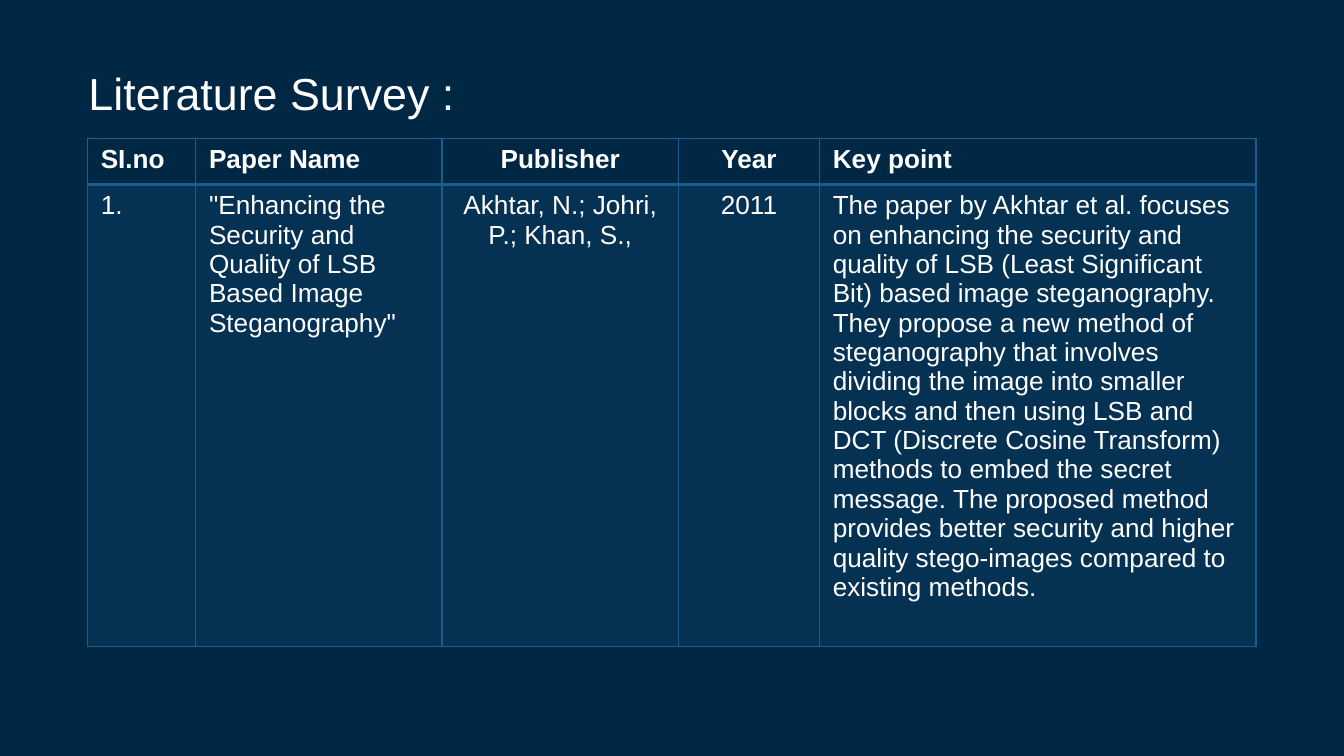
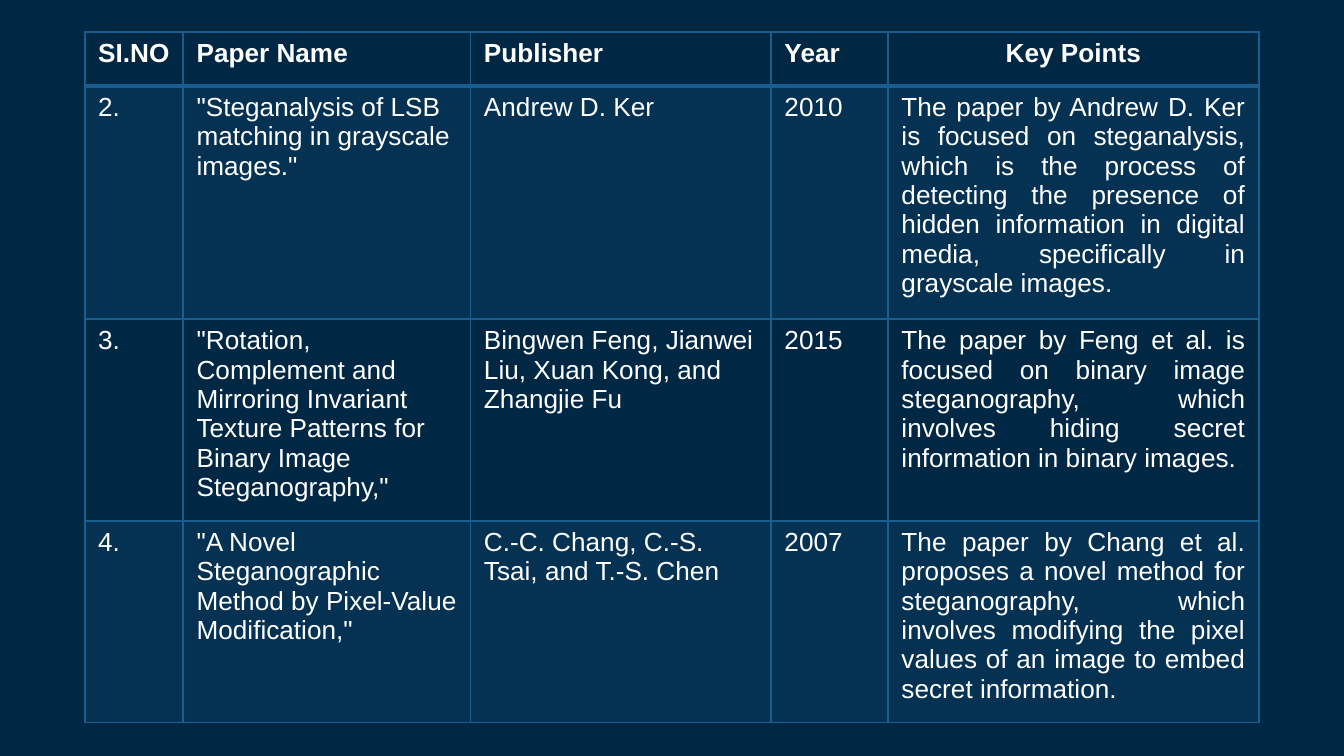
from dataclasses import dataclass

from lxml import etree
from pptx import Presentation
from pptx.dml.color import RGBColor
from pptx.enum import text
from pptx.oxml import ns
from pptx.slide import Slide
from pptx.table import _Cell
from pptx.util import Pt

LEFT, CENTER, JUSTIFY = text.PP_ALIGN.LEFT, text.PP_ALIGN.CENTER, text.PP_ALIGN.JUSTIFY


@dataclass(frozen=True)
class Theme:
    background: str = "002845"
    accent: str = "1A5E8F"
    ink: str = "FFFFFF"
    font: str = "Arial"
    title_size: float = 24
    table_size: float = 14
    band_opacity: int = 20
    line: float = 1
    header_line: float = 2


@dataclass(frozen=True)
class Survey:
    """A literature table: its place, grid, alignments and rows, header first."""
    left: float
    top: float
    widths: tuple[float, ...]
    heights: tuple[float, ...]
    header_aligns: tuple
    body_aligns: tuple
    rows: tuple[tuple[str, ...], ...]


THEME = Theme()

SURVEYS = (
    Survey(
        46.8, 74.1, (58, 132, 126.8, 75.4, 234), (24.6, 247.6),
        (LEFT, LEFT, CENTER, CENTER, LEFT), (LEFT, LEFT, CENTER, CENTER, LEFT),
        (
            ("SI.no", "Paper Name", "Publisher", "Year", "Key point"),
            ("1.", '"Enhancing the Security and Quality of LSB Based Image Steganography"',
             "Akhtar, N.; Johri, P.; Khan, S.,", "2011",
             "The paper by Akhtar et al. focuses on enhancing the security and quality of "
             "LSB (Least Significant Bit) based image steganography. They propose a new "
             "method of steganography that involves dividing the image into smaller blocks "
             "and then using LSB and DCT (Discrete Cosine Transform) methods to embed the "
             "secret message. The proposed method provides better security and higher "
             "quality stego-images compared to existing methods."),
        ),
    ),
    Survey(
        45.4, 17.3, (52.7, 154, 161, 62.7, 198.6), (28.8, 117.4, 101.7, 101.7),
        (LEFT, LEFT, LEFT, LEFT, CENTER), (LEFT, LEFT, LEFT, LEFT, JUSTIFY),
        (
            ("SI.NO", "Paper Name", "Publisher", "Year", "Key Points"),
            ("2.", '"Steganalysis of LSB matching in grayscale images."',
             "Andrew D. Ker", "2010",
             "The paper by Andrew D. Ker is focused on steganalysis, which is the process "
             "of detecting the presence of hidden information in digital media, "
             "specifically in grayscale images."),
            ("3.", '"Rotation, Complement and Mirroring Invariant Texture Patterns for '
             'Binary Image Steganography,"',
             "Bingwen Feng, Jianwei Liu, Xuan Kong, and Zhangjie Fu", "2015",
             "The paper by Feng et al. is focused on binary image steganography, which "
             "involves hiding secret information in binary images."),
            ("4.", '"A Novel Steganographic Method by Pixel-Value Modification,"',
             "C.-C. Chang, C.-S. Tsai, and T.-S. Chen", "2007",
             "The paper by Chang et al. proposes a novel method for steganography, which "
             "involves modifying the pixel values of an image to embed secret information."),
        ),
    ),
)


def write(tf, words: str, size: float, bold: bool = False, align=LEFT) -> None:
    p = tf.paragraphs[0]
    p.alignment = align
    r = p.add_run()
    r.text = words
    for name, value in {"name": THEME.font, "size": Pt(size), "bold": bold}.items():
        setattr(r.font, name, value)
    r.font.color.rgb = RGBColor.from_string(THEME.ink)


def add_color(parent, color: str):
    fill = etree.SubElement(parent, ns.qn("a:solidFill"))
    return etree.SubElement(fill, ns.qn("a:srgbClr"), val=color)


def fill_band(cell: _Cell) -> None:
    """Tint a cell with the translucent accent colour."""
    cell.fill.solid()
    cell.fill.fore_color.rgb = RGBColor.from_string(THEME.accent)
    color = cell._tc.tcPr.find(f".//{ns.qn('a:srgbClr')}")
    etree.SubElement(color, ns.qn("a:alpha"), val=str(THEME.band_opacity * 1000))


def add_borders(cell: _Cell, bottom: float) -> None:
    """Line all four sides; the lines must stand before the fill in the cell's XML."""
    widths = {"L": THEME.line, "R": THEME.line, "T": THEME.line, "B": bottom}
    for i, (side, width) in enumerate(widths.items()):
        ln = etree.Element(ns.qn(f"a:ln{side}"), w=str(int(Pt(width))))
        add_color(ln, THEME.accent)
        cell._tc.get_or_add_tcPr().insert(i, ln)


def add_survey(s: Slide, survey: Survey) -> None:
    frame = s.shapes.add_table(
        len(survey.heights), len(survey.widths), Pt(survey.left), Pt(survey.top),
        Pt(sum(survey.widths)), Pt(sum(survey.heights)))
    table = frame.table
    for column, width in zip(table.columns, survey.widths):
        column.width = Pt(width)
    for i, (row, height, words) in enumerate(zip(table.rows, survey.heights, survey.rows)):
        row.height = Pt(height)
        header = i == 0
        aligns = survey.header_aligns if header else survey.body_aligns
        for cell, value, align in zip(row.cells, words, aligns):
            write(cell.text_frame, value, THEME.table_size, header, align)
            if i % 2:
                fill_band(cell)
            else:
                cell.fill.background()
            add_borders(cell, THEME.header_line if header else THEME.line)


def add_title(s: Slide, words: str) -> None:
    tf = s.shapes.add_textbox(Pt(40.3), Pt(31.7), Pt(214.6), Pt(36)).text_frame
    tf.word_wrap = True
    tf.auto_size = text.MSO_AUTO_SIZE.SHAPE_TO_FIT_TEXT
    write(tf, words, THEME.title_size)


def add_slide(prs) -> Slide:
    s = prs.slides.add_slide(prs.slide_layouts[6])
    s.background.fill.solid()
    s.background.fill.fore_color.rgb = RGBColor.from_string(THEME.background)
    return s


def main() -> None:
    prs = Presentation()
    prs.slide_width, prs.slide_height = Pt(720), Pt(405)
    for i, survey in enumerate(SURVEYS):
        s = add_slide(prs)
        if i == 0:
            add_title(s, "Literature Survey :")
        add_survey(s, survey)
    prs.save("out.pptx")


if __name__ == "__main__":
    main()
